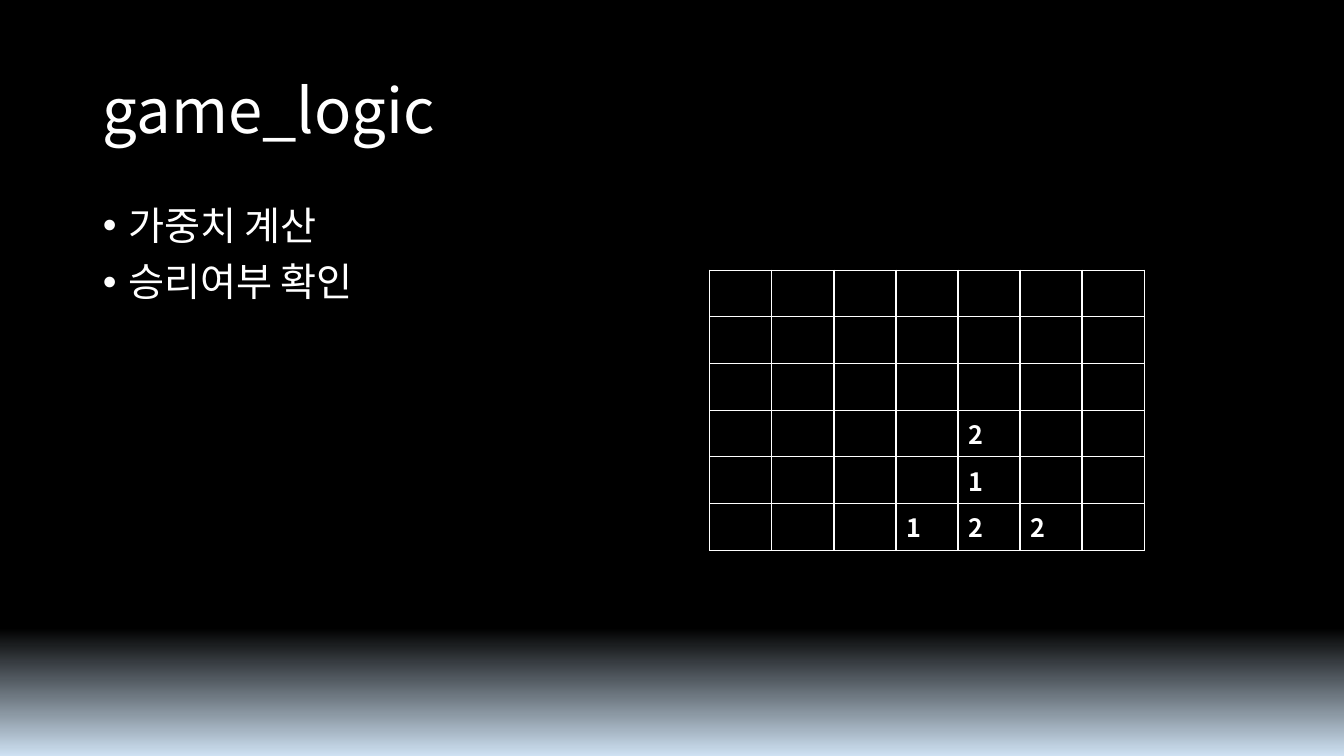
import dataclasses

import lxml.etree
import pptx
import pptx.dml.color
import pptx.enum.text
import pptx.oxml.ns
import pptx.util

FONT = "Noto Sans CJK KR"
WHITE = "FFFFFF"
WIDTH, HEIGHT = pptx.util.Inches(13.33), pptx.util.Inches(7.5)
BOARD_COLS, BOARD_ROWS = 7, 6


@dataclasses.dataclass(frozen=True)
class Box:
    """A frame in inches."""
    left: float
    top: float
    width: float
    height: float

    def emu(self) -> list[int]:
        return [pptx.util.Inches(v) for v in dataclasses.astuple(self)]


@dataclasses.dataclass(frozen=True)
class Stone:
    row: int
    col: int
    player: int


TITLE_BOX = Box(0.92, 0.4, 11.5, 1.45)
BODY_BOX = Box(0.92, 2, 11.5, 4.76)
BOARD_BOX = Box(7.04, 2.68, 4.31, 2.78)
POINTS = ["가중치 계산", "승리여부 확인"]
STONES = [Stone(3, 4, 2), Stone(4, 4, 1), Stone(5, 3, 1), Stone(5, 4, 2), Stone(5, 5, 2)]


def rgb(color: str) -> pptx.dml.color.RGBColor:
    return pptx.dml.color.RGBColor.from_string(color)


def add_child(parent, tag: str, **attrs: str):
    return lxml.etree.SubElement(parent, pptx.oxml.ns.qn(tag), attrs)


def format_paragraph(p, size: float, bold: bool = False) -> None:
    p.alignment = pptx.enum.text.PP_ALIGN.LEFT
    p.font.size = pptx.util.Pt(size)
    p.font.bold = bold
    p.font.color.rgb = rgb(WHITE)
    p.font.name = FONT
    # Hangul takes the East Asian typeface, which has no public property.
    add_child(p.font._element, "a:ea", typeface=FONT)


def fill_placeholder(sp, box: Box, lines: list[str], size: float):
    sp.left, sp.top, sp.width, sp.height = box.emu()
    tf = sp.text_frame
    tf.text = "\n".join(lines)
    tf.auto_size = pptx.enum.text.MSO_AUTO_SIZE.NONE
    for p in tf.paragraphs:
        p.line_spacing = 0.9
        format_paragraph(p, size)
    return tf


def add_borders(cell) -> None:
    properties = cell._tc.get_or_add_tcPr()
    for index, side in enumerate(("a:lnL", "a:lnR", "a:lnT", "a:lnB")):
        line = lxml.etree.Element(pptx.oxml.ns.qn(side), w=str(pptx.util.Pt(1)))
        add_child(add_child(line, "a:solidFill"), "a:srgbClr", val=WHITE)
        properties.insert(index, line)


def add_board(slide, box: Box, stones: list[Stone]) -> None:
    table = slide.shapes.add_table(BOARD_ROWS, BOARD_COLS, *box.emu()).table
    table.first_row = table.horz_banding = False
    for stone in stones:
        table.cell(stone.row, stone.col).text = str(stone.player)
    for cell in table.iter_cells():
        cell.fill.background()
        add_borders(cell)
        format_paragraph(cell.text_frame.paragraphs[0], 18, bold=True)


def set_background(slide) -> None:
    fill = slide.background.fill
    fill.gradient()
    fill.gradient_angle = 270
    for stop, (position, color) in zip(fill.gradient_stops, [(0.83, "000000"), (1, "CEE1F2")]):
        stop.position = position
        stop.color.rgb = rgb(color)


def main() -> None:
    prs = pptx.Presentation()
    prs.slide_width, prs.slide_height = WIDTH, HEIGHT
    slide = prs.slides.add_slide(prs.slide_layouts[1])
    set_background(slide)

    title = fill_placeholder(slide.shapes.title, TITLE_BOX, ["game_logic"], 44)
    title.vertical_anchor = pptx.enum.text.MSO_ANCHOR.MIDDLE

    body = fill_placeholder(slide.placeholders[1], BODY_BOX, POINTS, 28)
    indent = pptx.util.Inches(0.25)
    for p in body.paragraphs:
        p.space_before = pptx.util.Pt(10)
        properties = p._p.get_or_add_pPr()
        properties.set("marL", str(indent))
        properties.set("indent", str(-indent))

    add_board(slide, BOARD_BOX, STONES)
    prs.save("out.pptx")


if __name__ == "__main__":
    main()
